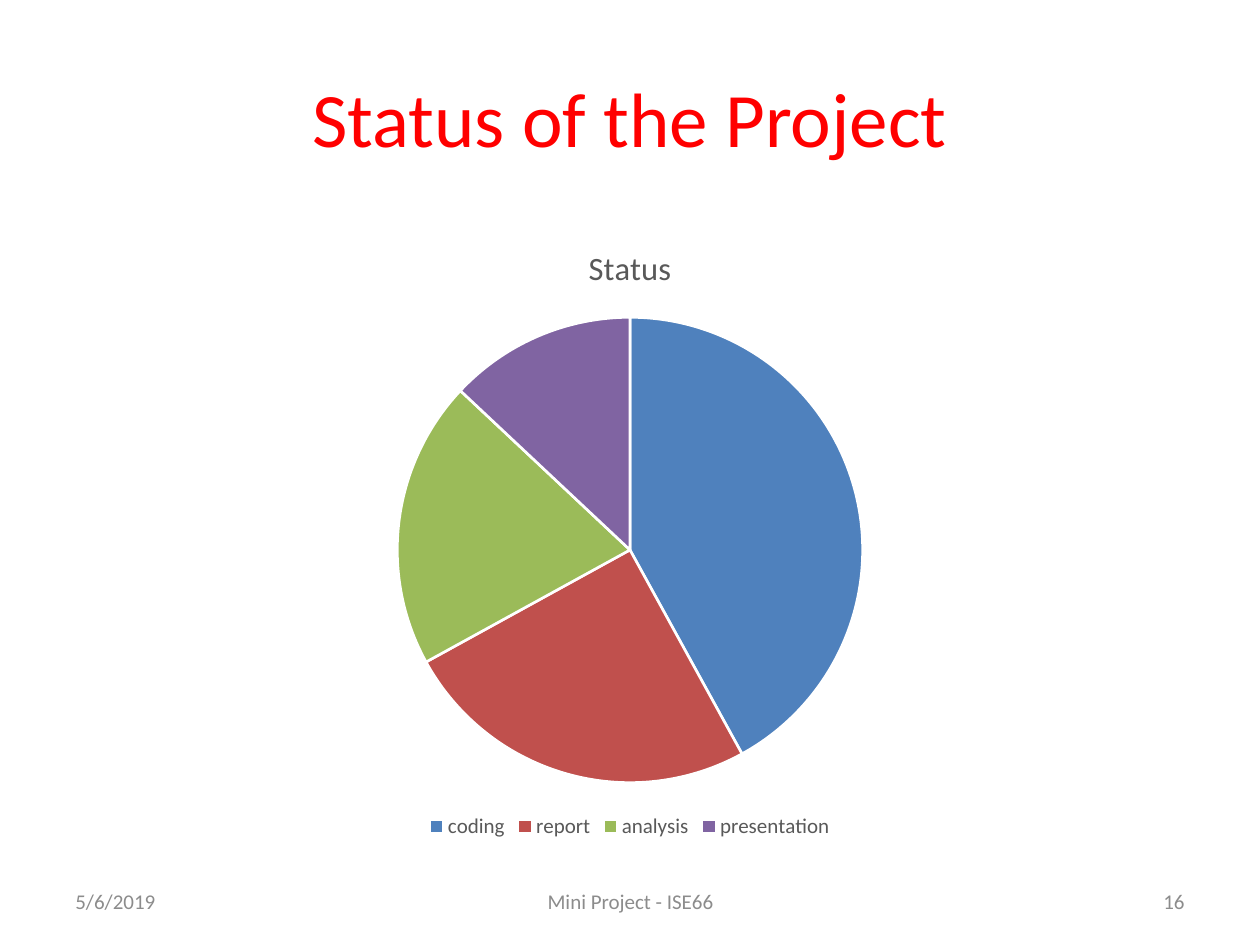
from pptx import Presentation
from pptx.chart.data import CategoryChartData
from pptx.dml.color import RGBColor
from pptx.enum.chart import XL_CHART_TYPE, XL_LEGEND_POSITION
from pptx.enum.text import MSO_ANCHOR, PP_ALIGN
from pptx.util import Inches, Pt

COLOURS = {
    "title": "FF0000",
    "chart text": "595959",
    "footer": "8C8C8C",
    "border": "FFFFFF",
    "coding": "4F81BD",
    "report": "C0504D",
    "analysis": "9BBB59",
    "presentation": "8064A2",
}
STATUS = {"coding": 42, "report": 25, "analysis": 20, "presentation": 13}


def style_font(font, size, colour):
    font.name = "Calibri"
    font.size = Pt(size)
    font.bold = False
    font.color.rgb = RGBColor.from_string(COLOURS[colour])


def add_text(page, text, left, top, width, height, size, colour, align):
    box = page.shapes.add_textbox(Inches(left), Inches(top), Inches(width), Inches(height))
    frame = box.text_frame
    frame.word_wrap = True
    frame.vertical_anchor = MSO_ANCHOR.MIDDLE
    para = frame.paragraphs[0]
    para.text = text
    para.alignment = align
    style_font(para.font, size, colour)


deck = Presentation()
deck.slide_width = Inches(10)
deck.slide_height = Inches(7.5)
page = deck.slides.add_slide(deck.slide_layouts[6])

add_text(page, "Status of the Project", 0.5, 0.3, 9, 1.25, 44, "title", PP_ALIGN.CENTER)

chart_data = CategoryChartData()
chart_data.categories = list(STATUS)
chart_data.add_series("Status", list(STATUS.values()))
chart = page.shapes.add_chart(
    XL_CHART_TYPE.PIE, Inches(0.5), Inches(1.75), Inches(9), Inches(4.95), chart_data
).chart
style_font(chart.font, 12, "chart text")

chart.has_title = True
title_para = chart.chart_title.text_frame.paragraphs[0]
title_para.text = "Status"
style_font(title_para.font, 18.6, "chart text")
chart.chart_title.include_in_layout = False

chart.has_legend = True
chart.legend.position = XL_LEGEND_POSITION.BOTTOM
chart.legend.include_in_layout = False
style_font(chart.legend.font, 12, "chart text")

plot = chart.plots[0]
plot.vary_by_categories = True
for index, name in enumerate(STATUS):
    slice_format = plot.series[0].points[index].format
    slice_format.fill.solid()
    slice_format.fill.fore_color.rgb = RGBColor.from_string(COLOURS[name])
    slice_format.line.color.rgb = RGBColor.from_string(COLOURS["border"])
    slice_format.line.width = Pt(1.5)

for text, left, width, align in (
    ("5/6/2019", 0.5, 2.33, PP_ALIGN.LEFT),
    ("Mini Project - ISE66", 3.42, 3.17, PP_ALIGN.CENTER),
    ("16", 7.17, 2.33, PP_ALIGN.RIGHT),
):
    add_text(page, text, left, 6.95, width, 0.4, 12, "footer", align)

deck.save("out.pptx")
